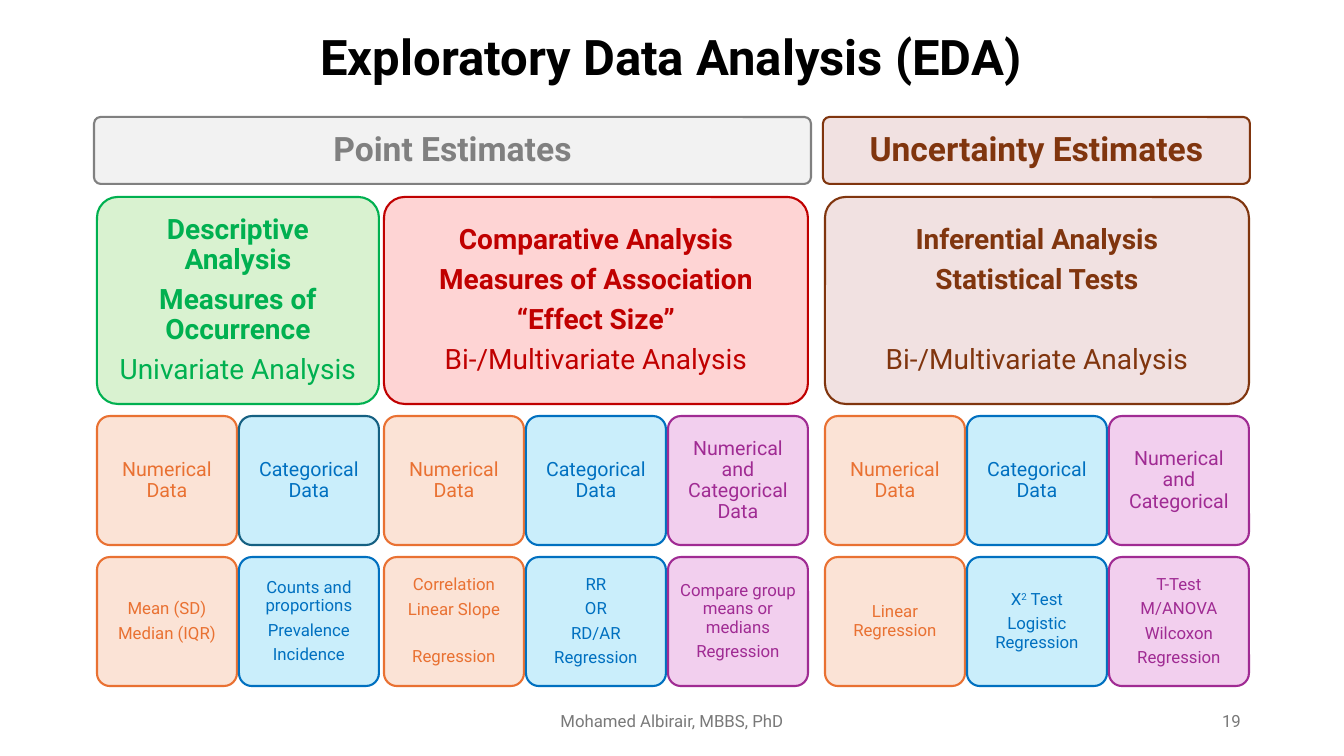
from pptx import Presentation
from pptx.dml.color import RGBColor
from pptx.enum.shapes import MSO_SHAPE
from pptx.enum.text import MSO_ANCHOR, MSO_AUTO_SIZE, PP_ALIGN
from pptx.util import Pt

PX = 914400 / 100.8
FONT = "Roboto"
COLORS = {
    "black": "000000", "footer": "797979", "teal": "156082",
    "gray": "808080", "gray_fill": "F2F2F2",
    "brown": "80350E", "brown_fill": "F1E1E1",
    "green": "00B050", "green_fill": "D9F2D0",
    "red": "C00000", "red_fill": "FED4D4",
    "orange": "E97132", "orange_fill": "FBE3D6",
    "blue": "0070C0", "blue_fill": "CAEEFB",
    "purple": "A02B93", "purple_fill": "F2CFEE",
}

TITLE = "Exploratory Data Analysis (EDA)"
FOOTER = "Mohamed Albirair, MBBS, PhD"
PAGE = "19"
SKIP = None
HEADERS = [
    ("Point Estimates", "gray", 94, 717),
    ("Uncertainty Estimates", "brown", 823, 427),
]
NUMERICAL = "Numerical Data"
CATEGORICAL = "Categorical Data"
ANALYSES = [
    (97, "green",
     ["Descriptive Analysis", "Measures of Occurrence"], "Univariate Analysis",
     [("orange", "orange", NUMERICAL, ["Mean (SD)", "Median (IQR)"]),
      ("blue", "teal", CATEGORICAL,
       ["Counts and proportions", "Prevalence", "Incidence"])]),
    (384, "red",
     ["Comparative Analysis", "Measures of Association", "“Effect Size”"],
     "Bi-/Multivariate Analysis",
     [("orange", "orange", NUMERICAL,
       ["Correlation", "Linear Slope", SKIP, "Regression"]),
      ("blue", "blue", CATEGORICAL, ["RR", "OR", "RD/AR", "Regression"]),
      ("purple", "purple", "Numerical and Categorical Data",
       ["Compare group means or medians", "Regression"])]),
    (825, "brown",
     ["Inferential Analysis", "Statistical Tests", SKIP],
     "Bi-/Multivariate Analysis",
     [("orange", "orange", NUMERICAL, ["Linear Regression"]),
      ("blue", "blue", CATEGORICAL, ["X^2^ Test", "Logistic Regression"]),
      ("purple", "purple", "Numerical and Categorical",
       ["T-Test", "M/ANOVA", "Wilcoxon", "Regression"])]),
]

HEADER_TOP, HEADER_H = 117, 67
ANALYSIS_TOP, ANALYSIS_H = 197, 207
DATA_TOP, METHOD_TOP, CELL_H = 416, 557, 129
CELL_W, PITCH = 140, 142


def px(n):
    return round(n * PX)


def rgb(name):
    return RGBColor.from_string(COLORS[name])


def write(sp, lines, size, color, inset=10, bold=0, align=PP_ALIGN.CENTER, spacing=0.9):
    tf = sp.text_frame
    tf.word_wrap = True
    tf.auto_size = MSO_AUTO_SIZE.NONE
    tf.vertical_anchor = MSO_ANCHOR.MIDDLE
    tf.margin_left = tf.margin_right = tf.margin_top = tf.margin_bottom = px(inset)
    gap = 0
    for i, line in enumerate(lines):
        if line is SKIP:
            gap += size * 1.42
            continue
        p = tf.add_paragraph() if i else tf.paragraphs[0]
        p.alignment = align
        p.line_spacing = spacing
        p.space_before = Pt(gap)
        p.space_after = Pt(0)
        gap = size * 0.355
        for j, part in enumerate(line.split("^")):
            r = p.add_run()
            r.text = part
            r.font.name = FONT
            r.font.size = Pt(size)
            r.font.bold = i < bold
            r.font.color.rgb = rgb(color)
            if j % 2:
                r.font._element.set("baseline", "30000")


def box(x, y, w, h, color, lines, size, inset, bold=0, border=None):
    sp = s.shapes.add_shape(MSO_SHAPE.ROUNDED_RECTANGLE, px(x), px(y), px(w), px(h))
    sp.adjustments[0] = 0.1
    sp.shadow.inherit = False
    sp.fill.solid()
    sp.fill.fore_color.rgb = rgb(color + "_fill")
    sp.line.color.rgb = rgb(border or color)
    sp.line.width = Pt(1.5)
    write(sp, lines, size, color, inset, bold)


prs = Presentation()
prs.slide_width, prs.slide_height = px(1344), px(756)
s = prs.slides.add_slide(prs.slide_layouts[5])

title = s.shapes.title
title.left, title.top, title.width, title.height = px(95), px(18), px(1153), px(84)
write(title, [TITLE], 35, "black", 15, 1)

for text, color, x, w in HEADERS:
    box(x, HEADER_TOP, w, HEADER_H, color, [text], 24, 10, 1)

for left, color, heads, scope, cells in ANALYSES:
    width = (len(cells) - 1) * PITCH + CELL_W
    box(left, ANALYSIS_TOP, width, ANALYSIS_H, color, heads + [scope], 20, 8, len(heads))
    for i, (tint, border, data, methods) in enumerate(cells):
        x = left + i * PITCH
        box(x, DATA_TOP, CELL_W, CELL_H, tint, [data], 14, 6, border=border)
        box(x, METHOD_TOP, CELL_W, CELL_H, tint, methods, 12, 5)

for text, x, w, align in [(FOOTER, 445, 454, PP_ALIGN.CENTER),
                          (PAGE, 949, 302, PP_ALIGN.RIGHT)]:
    sp = s.shapes.add_textbox(px(x), px(701), px(w), px(40))
    write(sp, [text], 12, "footer", align=align, spacing=1.0)

prs.save("out.pptx")
